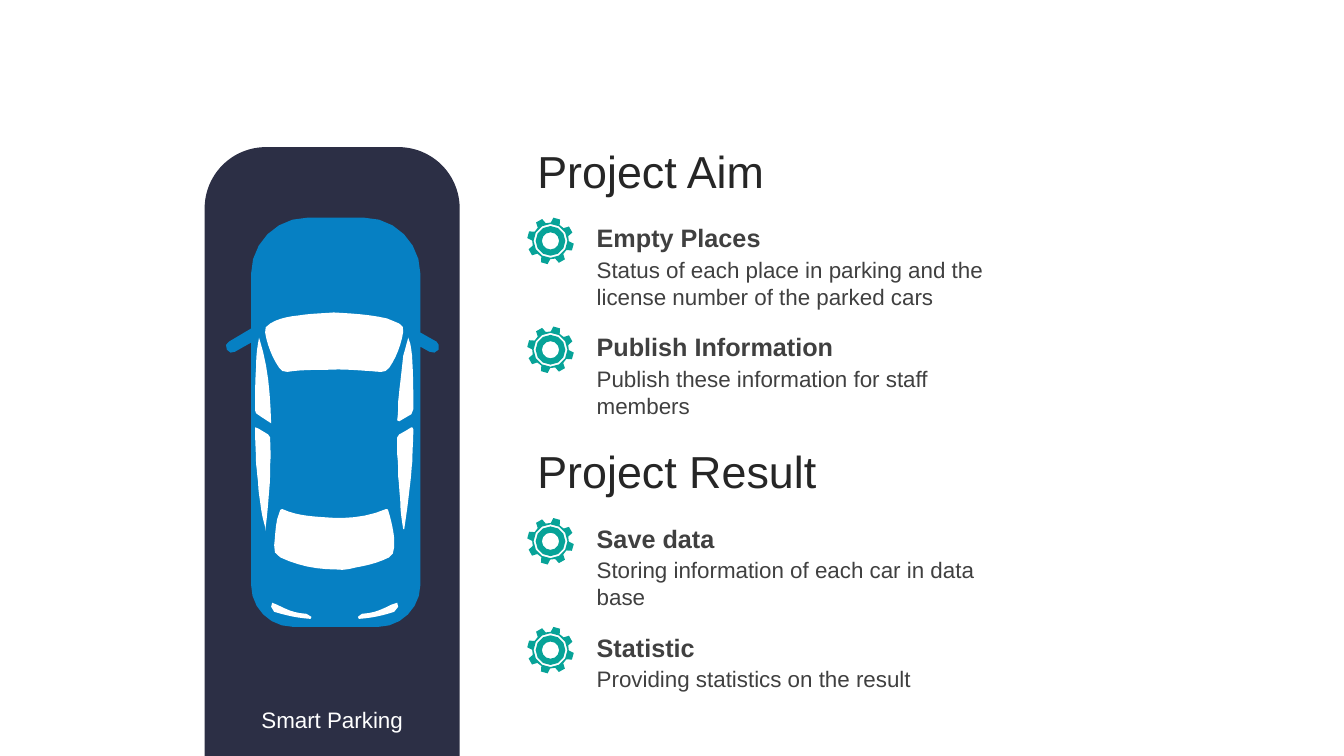
import math
from dataclasses import dataclass

from pptx import Presentation
from pptx import util as u
from pptx.dml.color import RGBColor
from pptx.enum import shapes, text

Point = tuple[float, float]
SCALE = u.Inches(1) // 100  # EMU in one px; 100 px make an inch


@dataclass(frozen=True)
class Theme:
    font: str = "Arial"
    road: str = "2C2F45"
    car: str = "0680C3"
    glass: str = "FFFFFF"
    gear: str = "07A398"
    heading: str = "262626"
    body: str = "404040"
    caption: str = "FFFFFF"
    heading_size: int = 32
    name_size: int = 18
    body_size: int = 16


@dataclass(frozen=True)
class Entry:
    name: str
    detail: str
    height: int


@dataclass(frozen=True)
class Section:
    heading: str
    top: int
    holder: int
    entries: tuple[Entry, ...]


THEME = Theme()
SECTIONS = (
    Section("Project Aim", 133, 1, (
        Entry("Empty Places", "Status of each place in parking and the license number "
              "of the parked cars", 91),
        Entry("Publish Information", "Publish these information for staff members", 64))),
    Section("Project Result", 431, 3, (
        Entry("Save data", "Storing information of each car in data base", 64),
        Entry("Statistic", "Providing statistics on the result", 37))),
)
GEAR_LEFT, GEAR_SIZE = 523, 46
ENTRY_LEFT, ENTRY_WIDTH = 582, 427
ENTRY_OFFSET, ENTRY_STEP, DETAIL_OFFSET = 83, 108, 33

# Car outlines in px: M start, L line, C curve
HULL = ["M 433 339 L 417 330 L 417 272 C 417 241 392 216 361 216 L 305 216 "
        "C 274 216 249 241 249 272 L 249 326 L 227 339 C 224 340 223 344 225 347 "
        "C 227 350 230 351 233 349 L 249 340 L 249 580 C 249 603 267 622 291 622 "
        "L 375 622 C 398 622 417 603 417 580 L 417 344 L 426 349 "
        "C 429 351 433 350 435 347 C 436 344 435 340 433 339"]
RIGHT_LAMP = ("M 394 598 C 395 599 394 601 395 602 C 395 605 395 606 391 607 "
              "C 379 611 369 613 356 614 C 354 614 354 613 355 612 "
              "C 356 609 357 609 359 609 C 371 608 376 606 388 600 C 390 600 392 598 394 598")
LEFT_LAMP = ("M 270 598 C 271 598 274 600 275 600 C 287 606 292 608 304 609 "
             "C 306 609 308 609 309 612 C 309 613 309 614 308 614 "
             "C 295 613 285 611 272 607 C 269 606 269 605 269 602 C 269 601 268 599 270 598")
REAR_WINDOW = ("M 384 505 C 385 505 385 505 385 506 C 388 516 390 525 391 534 "
               "C 391 537 391 540 391 543 C 391 548 389 551 386 553 "
               "C 376 558 365 561 353 563 C 346 565 339 566 334 565 "
               "C 313 565 295 561 278 553 C 273 551 271 546 272 541 "
               "C 273 532 273 524 275 515 C 276 512 277 509 278 506 "
               "C 278 505 279 504 280 505 C 293 511 306 512 319 513 "
               "C 341 515 362 514 383 505")
RIGHT_REAR_DOOR = ("M 409 424 C 410 424 410 425 410 426 C 410 437 409 447 409 458 "
                   "C 408 465 408 472 407 479 C 406 487 405 496 404 504 "
                   "C 403 511 402 518 401 525 L 400 525 C 398 513 397 506 397 495 "
                   "C 396 488 396 481 395 473 C 395 466 395 459 394 451 "
                   "C 394 445 394 439 394 434 C 394 433 395 432 396 431 "
                   "C 399 429 404 427 408 424")
LEFT_REAR_DOOR = ("M 253 424 C 254 423 255 425 256 425 C 259 427 263 429 266 431 "
                  "C 268 432 268 432 268 434 C 268 443 269 452 268 461 "
                  "C 268 469 268 478 267 487 C 266 500 265 513 263 527 L 263 523 "
                  "C 261 515 260 512 259 505 C 258 496 256 487 256 478 "
                  "C 255 472 255 466 254 460 C 254 448 253 438 253 426")
LEFT_FRONT_DOOR = ("M 257 335 C 266 363 268 389 269 420 C 263 416 258 413 254 410 "
                   "C 253 409 253 408 253 407 C 253 392 253 379 254 365 "
                   "C 254 354 255 345 257 335")
RIGHT_FRONT_DOOR = ("M 405 335 C 407 338 407 339 407 341 C 408 347 409 353 409 358 "
                    "C 410 375 410 390 410 406 C 410 408 409 410 408 411 "
                    "C 404 413 400 416 396 418 C 395 419 394 419 394 417 "
                    "C 395 411 395 404 395 398 C 396 391 396 386 397 380 "
                    "C 398 371 399 362 400 353 C 402 346 403 342 405 335")
WINDSCREEN = ("M 331 310 C 349 311 367 312 384 316 C 388 318 392 319 396 321 "
              "C 399 323 401 325 400 329 C 398 342 393 355 386 365 "
              "C 384 368 381 369 378 369 C 373 369 369 368 364 368 "
              "C 350 367 336 366 323 367 C 310 367 297 367 285 369 "
              "C 281 369 279 368 277 365 C 270 355 265 342 263 330 "
              "C 262 326 264 323 268 321 C 276 316 286 314 296 313 C 308 311 320 311 331 310")
GLASS = [RIGHT_LAMP, LEFT_LAMP, REAR_WINDOW, RIGHT_REAR_DOOR, LEFT_REAR_DOOR,
         LEFT_FRONT_DOOR, RIGHT_FRONT_DOOR, WINDSCREEN]


def px(length: float) -> u.Emu:
    return u.Emu(round(length * SCALE))


def trace(outline: str) -> list[Point]:
    """Turn an outline into points; longer curves are cut into more steps."""
    points: list[Point] = []
    tokens = iter(outline.split())
    for command in tokens:
        pairs = [(int(next(tokens)), int(next(tokens)))
                 for _ in range(3 if command == "C" else 1)]
        if command != "C":
            points += pairs
            continue
        controls = [points[-1], *pairs]
        steps = 1 + min(5, int(math.dist(controls[0], controls[3]) / 7))
        for step in range(1, steps + 1):
            t = step / steps
            weights = ((1 - t) ** 3, 3 * t * (1 - t) ** 2, 3 * t * t * (1 - t), t ** 3)
            points.append(tuple(sum(w * c[axis] for w, c in zip(weights, controls))
                                for axis in (0, 1)))
    return points


def gear_contours(left: int, top: int, size: int) -> list[list[Point]]:
    """Eight teeth around a ring, a thin groove and a hole."""
    radius = size / 2

    def polar(ratio: float, degrees: float) -> Point:
        angle = math.radians(degrees)
        return (left + radius + radius * ratio * math.cos(angle),
                top + radius + radius * ratio * math.sin(angle))

    tooth = ((-14.5, 0.79), (-8.5, 1.01), (8.5, 1.01), (14.5, 0.79))
    teeth = [polar(ratio, 15.5 + 45 * index + turn)
             for index in range(8) for turn, ratio in tooth]
    circles = [[polar(ratio, degrees) for degrees in range(0, 360, 30)]
               for ratio in (0.73, 0.64, 0.37)]
    return [teeth, *circles]


def paint(shape, colour: str) -> None:
    shape.fill.solid()
    shape.fill.fore_color.rgb = RGBColor.from_string(colour)
    shape.line.fill.background()
    shape.shadow.inherit = False


def add_outline(page, contours: list[list[Point]], colour: str):
    first, *others = [[(px(x), px(y)) for x, y in contour] for contour in contours]
    builder = page.shapes.build_freeform(*first[0], scale=1.0)
    builder.add_line_segments(first[1:], close=True)
    for contour in others:
        builder.move_to(*contour[0])
        builder.add_line_segments(contour[1:], close=True)
    shape = builder.convert_to_shape()
    paint(shape, colour)
    return shape


def write(box, words: str, size: int, colour: str, bold: bool = False):
    box.text_frame.text = words
    box.text_frame.word_wrap = True
    para = box.text_frame.paragraphs[0]
    font = para.runs[0].font
    font.name, font.size, font.bold = THEME.font, u.Pt(size), bold
    font.color.rgb = RGBColor.from_string(colour)
    return para


def add_text(page, left: int, top: int, width: int, height: int, words: str,
             size: int, colour: str, bold: bool = False):
    box = page.shapes.add_textbox(px(left), px(top), px(width), px(height))
    para = write(box, words, size, colour, bold)
    box.text_frame.auto_size = text.MSO_AUTO_SIZE.SHAPE_TO_FIT_TEXT
    return para


def add_section(page, section: Section) -> None:
    heading = next(box for box in page.placeholders
                   if box.placeholder_format.idx == section.holder)
    heading.left, heading.top = px(GEAR_LEFT), px(section.top)
    heading.width, heading.height = px(459), px(79)
    para = write(heading, section.heading, THEME.heading_size, THEME.heading)
    heading.text_frame.auto_size = text.MSO_AUTO_SIZE.NONE
    heading.text_frame.vertical_anchor = text.MSO_ANCHOR.MIDDLE
    para.line_spacing, para.space_before = 0.9, u.Pt(10)
    for index, entry in enumerate(section.entries):
        top = section.top + ENTRY_OFFSET + index * ENTRY_STEP
        add_outline(page, gear_contours(GEAR_LEFT, top, GEAR_SIZE), THEME.gear)
        add_text(page, ENTRY_LEFT, top + DETAIL_OFFSET, ENTRY_WIDTH, entry.height,
                 entry.detail, THEME.body_size, THEME.body)
        add_text(page, ENTRY_LEFT, top, ENTRY_WIDTH, 40,
                 entry.name, THEME.name_size, THEME.body, bold=True)


def main() -> None:
    deck = Presentation()
    deck.slide_width, deck.slide_height = px(1333), px(750)
    page = deck.slides.add_slide(deck.slide_layouts.get_by_name("Comparison"))

    # Parking lane with the car and its caption
    lane = page.shapes.add_shape(shapes.MSO_SHAPE.ROUND_2_SAME_RECTANGLE,
                                 px(203), px(146), px(253), px(604))
    lane.adjustments[0], lane.adjustments[1] = 0.24, 0
    paint(lane, THEME.road)
    hull = add_outline(page, [trace(part) for part in HULL], THEME.car)
    glass = add_outline(page, [trace(part) for part in GLASS], THEME.glass)
    page.shapes.add_group_shape([hull, glass])
    caption = add_text(page, 203, 696, 253, 37, "Smart Parking",
                       THEME.body_size, THEME.caption)
    caption.alignment = text.PP_ALIGN.CENTER

    # Headings with their entries
    for section in SECTIONS:
        add_section(page, section)

    # Unused placeholders
    for box in list(page.placeholders):
        if not box.text_frame.text:
            box.element.getparent().remove(box.element)
    deck.save("out.pptx")


if __name__ == "__main__":
    main()
